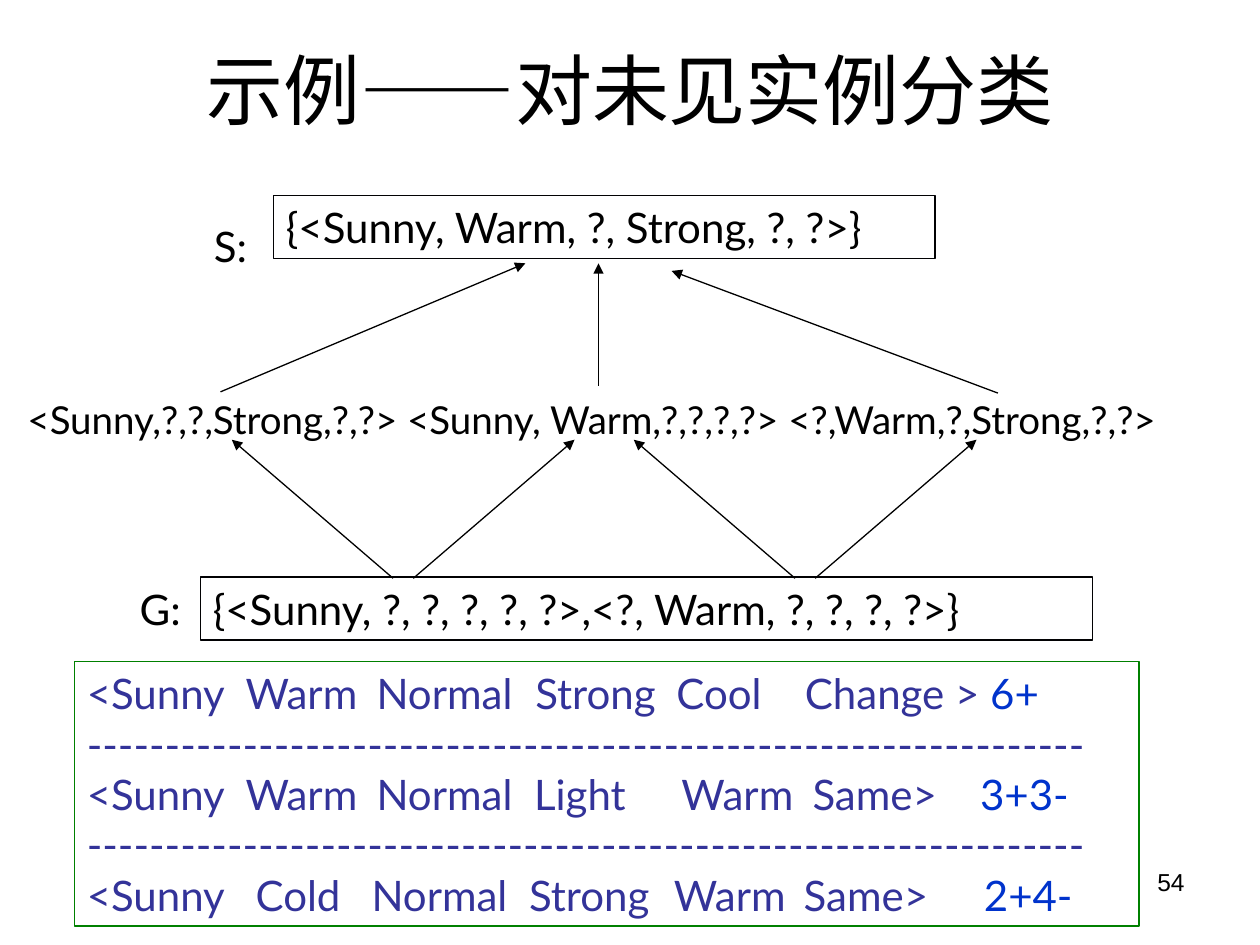
from lxml.etree import SubElement
from pptx import Presentation
from pptx.dml.color import RGBColor
from pptx.enum.shapes import MSO_CONNECTOR, MSO_SHAPE
from pptx.enum.text import MSO_ANCHOR, PP_ALIGN
from pptx.oxml.ns import qn
from pptx.util import Inches, Pt

BLACK, EDGE, GREEN = "000000", "010103", "008000"
NAVY, BLUE = "333399", "0033CC"
CJK = "Noto Sans CJK SC"

TITLE = [("示例", BLACK, "Arial"), ("——", BLACK, CJK), ("对未见实例分类", BLACK, "Arial")]
MIDDLE = "<Sunny,?,?,Strong,?,?> <Sunny, Warm,?,?,?,?> <?,Warm,?,Strong,?,?>"
BOUNDS = [
    ("S:", (1.6, 1.7, 0.47, 0.5),
     "{<Sunny, Warm, ?, Strong, ?, ?>}", (2.17, 1.55, 5.25, 0.5)),
    ("G:", (1.01, 4.58, 0.53, 0.5),
     "{<Sunny, ?, ?, ?, ?, ?>,<?, Warm, ?, ?, ?, ?>}", (1.59, 4.58, 7.08, 0.5)),
]
CASES = [
    (["<Sunny", "Warm", "Normal", "Strong", "Cool", "Change >"], "6+",
     (1.26, 2.3, 3.56, 4.68, 5.7, 7.17)),
    (["<Sunny", "Warm", "Normal", "Light", "Warm", "Same>"], "3+3-",
     (1.26, 2.3, 3.55, 4.72, 5.76, 7.09)),
    (["<Sunny", "Cold", "Normal", "Strong", "Warm", "Same>"], "2+4-",
     (1.34, 2.26, 3.51, 4.66, 5.69, 7.12)),
]
RISES = [(1.75, 3.11, 4.17, 2.09), (7.92, 3.12, 5.33, 2.15), (4.75, 3.06, 4.75, 2.09)]
FORKS, GAP, REACH = (3.2, 6.39), 0.08, 1.36
BASE, TOP = 4.59, 3.49

deck = Presentation()
deck.slide_width, deck.slide_height = Inches(10), Inches(7.5)
slide = deck.slides.add_slide(deck.slide_layouts[6])


def color(code):
    return RGBColor.from_string(code)


def put_text(text, at, size=24, font="Lato", edge=None, wrap=True, pad=(0.1, 0.05),
             align=PP_ALIGN.LEFT, anchor=MSO_ANCHOR.TOP):
    place = [Inches(n) for n in at]
    if edge:
        box = slide.shapes.add_shape(MSO_SHAPE.RECTANGLE, *place)
        box.shadow.inherit = False
        box.fill.background()
        box.line.color.rgb = color(edge)
        box.line.width = Pt(0.75)
    else:
        box = slide.shapes.add_textbox(*place)
    frame = box.text_frame
    frame.word_wrap = wrap
    frame.vertical_anchor = anchor
    frame.margin_left = frame.margin_right = Inches(pad[0])
    frame.margin_top = frame.margin_bottom = Inches(pad[1])
    lines = [([(text, BLACK, font)], ())] if isinstance(text, str) else text
    for row, (runs, stops) in enumerate(lines):
        para = frame.paragraphs[0] if row == 0 else frame.add_paragraph()
        para.alignment = align
        if stops:
            tabs = SubElement(para._p.get_or_add_pPr(), qn("a:tabLst"))
            for stop in stops:
                SubElement(tabs, qn("a:tab"), pos=str(Inches(stop)), algn="l")
        for words, shade, face in runs:
            run = para.add_run()
            run.text = words
            run.font.size = Pt(size)
            run.font.name = face
            run.font.color.rgb = color(shade)
            SubElement(run._r.get_or_add_rPr(), qn("a:ea"), typeface=CJK)


def put_arrow(*ends):
    arrow = slide.shapes.add_connector(MSO_CONNECTOR.STRAIGHT, *[Inches(n) for n in ends])
    arrow.line.color.rgb = color(BLACK)
    arrow.line.width = Pt(0.75)
    SubElement(arrow.line._get_or_add_ln(), qn("a:tailEnd"), type="triangle")
    SubElement(arrow._element.spPr, qn("a:effectLst"))


put_text("54", (7.17, 6.83, 2.33, 0.52), size=14, font="Arial", align=PP_ALIGN.RIGHT)
put_text([(TITLE, ())], (0.63, 0.49, 8.75, 0.58), size=44, pad=(0, 0),
         align=PP_ALIGN.CENTER, anchor=MSO_ANCHOR.BOTTOM)

for label, spot, rule, area in BOUNDS:
    put_text(rule, area, edge=EDGE)
    put_text(label, spot, wrap=False)
put_text(MIDDLE, (0.12, 3.09, 9.73, 0.47), size=22)

for mid in FORKS:
    for side in (-1, 1):
        put_arrow(mid + side * GAP, BASE, mid + side * REACH, TOP)
for ends in RISES:
    put_arrow(*ends)

table = []
for words, vote, stops in CASES:
    if table:
        table.append(([("-" * 64, NAVY, "Lato")], ()))
    table.append(([("\t".join(words) + "\t", NAVY, "Lato"), (vote, BLUE, "Lato")], stops))
put_text(table, (0.59, 5.25, 8.45, 2.1), edge=GREEN)

deck.save("out.pptx")
